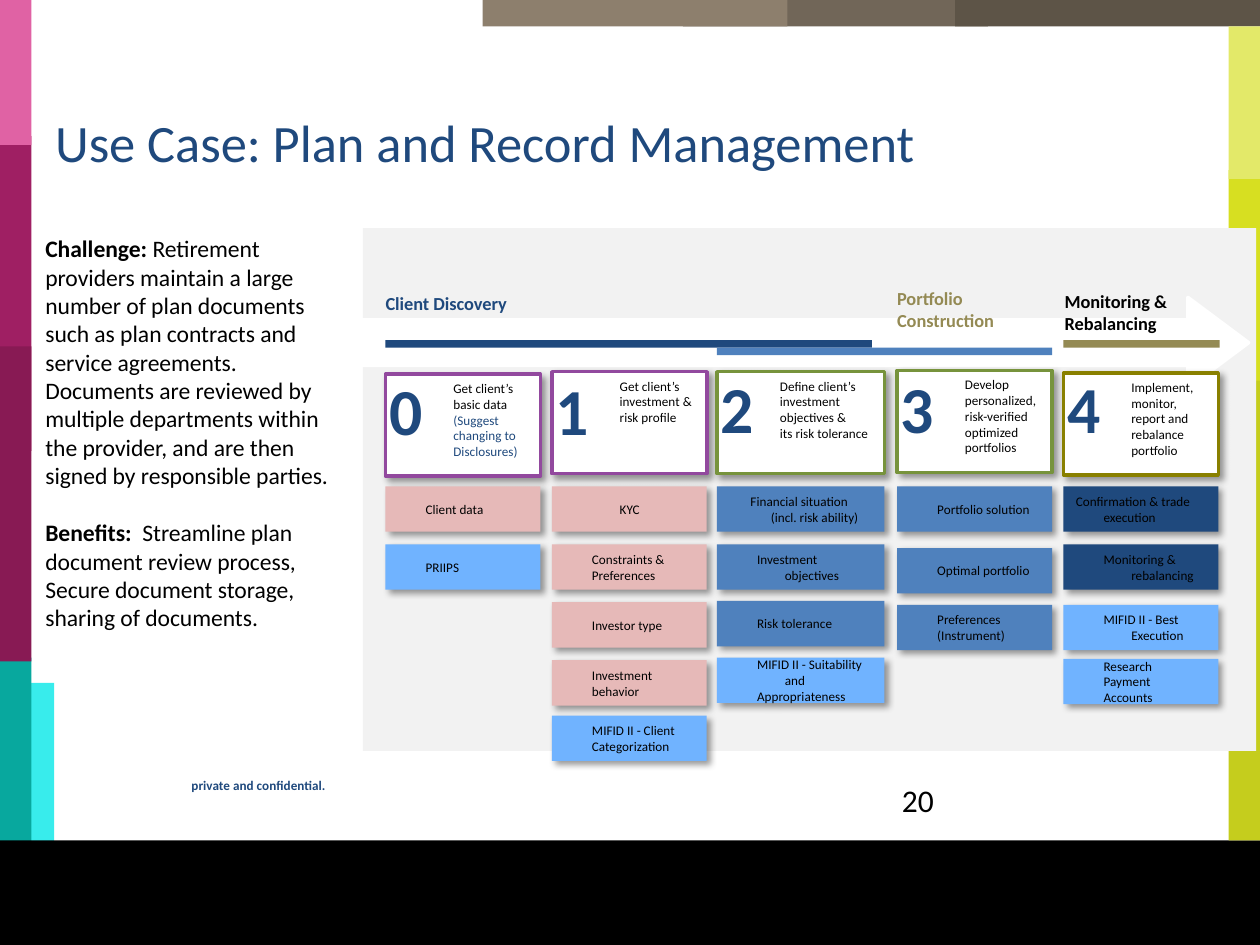
from dataclasses import dataclass
from lxml.etree import SubElement
from pptx import Presentation
from pptx.dml.color import RGBColor
from pptx.enum.shapes import MSO_SHAPE
from pptx.enum.text import MSO_ANCHOR, MSO_AUTO_SIZE, PP_ALIGN
from pptx.oxml.ns import qn
from pptx.util import Inches, Pt


@dataclass(frozen=True)
class Theme:
    font: str = "Calibri"
    black: str = "000000"
    white: str = "FFFFFF"
    panel: str = "F2F2F2"
    navy: str = "1F497D"
    blue: str = "4F81BD"
    sky: str = "70B3FF"
    rose: str = "E6B9B8"
    tan: str = "948A54"
    purple: str = "92499E"
    green: str = "77933C"
    olive: str = "898000"
    small: float = 7.5
    label: float = 10.5
    body: float = 13.5
    page: float = 18
    title: float = 30
    digit: float = 37.5


PAD = (0.1, 0.05, 0.1, 0.05)
NONE = (0, 0, 0, 0)


class Deck:
    def __init__(self, theme, slide):
        self.theme = theme
        self.slide = slide

    def style(self, para, size, color, bold=None):
        font = para.font
        font.name, font.size, font.bold = self.theme.font, Pt(size), bold
        font.color.rgb = RGBColor.from_string(color)

    def frame(self, shape, pad=PAD, anchor=MSO_ANCHOR.TOP, wrap=True):
        frame = shape.text_frame
        frame.auto_size = MSO_AUTO_SIZE.NONE
        frame.word_wrap, frame.vertical_anchor = wrap, anchor
        (frame.margin_left, frame.margin_top,
         frame.margin_right, frame.margin_bottom) = map(Inches, pad)
        return frame

    def fill_text(self, frame, text, size, color, bold=None, indent=(0, 0),
                  align=PP_ALIGN.LEFT):
        frame.text = text
        for para in frame.paragraphs:
            para.alignment = align
            props = para._p.get_or_add_pPr()
            props.set("marL", str(Inches(indent[0])))
            props.set("indent", str(Inches(indent[1])))
            self.style(para, size, color, bold)

    def place(self, shape, box):
        shape.left, shape.top, shape.width, shape.height = map(Inches, box)

    def title(self, text, box):
        shape = self.slide.shapes.title
        self.place(shape, box)
        frame = self.frame(shape, (0.1, 0.16, 0.1, 0.05))
        self.fill_text(frame, text, self.theme.title, self.theme.navy,
                       align=PP_ALIGN.CENTER)

    def body(self, items, box):
        shape = self.slide.placeholders[1]
        self.place(shape, box)
        frame = self.frame(shape)
        for i, (head, text) in enumerate(items):
            para = frame.paragraphs[0] if i == 0 else frame.add_paragraph()
            para.space_before = Pt(16.5 if i else 0)
            props = para._p.get_or_add_pPr()
            props.set("marL", "0")
            props.set("indent", "0")
            SubElement(props, qn("a:buNone"))
            self.style(para, self.theme.body, self.theme.black)
            lead = para.add_run()
            lead.text, lead.font.bold = head, True
            para.add_run().text = text

    def shape(self, box, fill, line=None, kind=MSO_SHAPE.RECTANGLE):
        shape = self.slide.shapes.add_shape(kind, *map(Inches, box))
        shape.shadow.inherit = False
        shape.fill.solid()
        shape.fill.fore_color.rgb = RGBColor.from_string(fill)
        if line:
            shape.line.color.rgb = RGBColor.from_string(line)
            shape.line.width = Pt(2)
        else:
            shape.line.fill.background()
        return shape

    def shade(self, shape):
        effects = shape._element.spPr.find(qn("a:effectLst"))
        outer = SubElement(effects, qn("a:outerShdw"), blurRad=str(Pt(4)),
                           dist=str(Pt(3)), dir="2700000", algn="tl",
                           rotWithShape="0")
        color = SubElement(outer, qn("a:srgbClr"), val=self.theme.black)
        SubElement(color, qn("a:alpha"), val="40000")

    def text(self, text, box, size, color, bold=None, pad=PAD,
             anchor=MSO_ANCHOR.TOP):
        shape = self.slide.shapes.add_textbox(*map(Inches, box))
        self.fill_text(self.frame(shape, pad, anchor), text, size, color, bold)

    def step(self, digit, text, box, line, top, pad):
        shape = self.shape(box, self.theme.white, line)
        self.shade(shape)
        frame = self.frame(shape, pad)
        self.fill_text(frame, text, self.theme.small, self.theme.black,
                       indent=(0.44, 0))
        for para in frame.paragraphs[1:]:
            self.style(para, self.theme.small, self.theme.navy)
        self.text(digit, (box[0], top, 0.5, 0.86), self.theme.digit,
                  self.theme.navy, True, (0.03,) * 4)

    def card(self, text, box, fill, indent=(0.44, -0.22),
             align=PP_ALIGN.LEFT, pad=PAD):
        shape = self.shape(box, fill)
        self.shade(shape)
        self.fill_text(self.frame(shape, pad, MSO_ANCHOR.MIDDLE), text,
                       self.theme.small, self.theme.black, None, indent, align)

    def note(self, text, box):
        shape = self.shape(box, self.theme.white)
        frame = self.frame(shape, NONE, MSO_ANCHOR.MIDDLE, False)
        self.fill_text(frame, text, self.theme.small, self.theme.navy, True)


def main():
    t = Theme()
    show = Presentation()
    show.slide_width, show.slide_height = Inches(10), Inches(7.5)
    deck = Deck(t, show.slides.add_slide(show.slide_layouts[1]))

    for fill, *box in (
        ("38ECEC", 0.16, 5.42, 0.27, 2.06), ("08A89E", 0, 5.22, 0.25, 2.25),
        (t.black, 0, 6.67, 10, 0.83), ("9F1F63", 0, 1.08, 0.25, 2.5),
        ("E062A4", 0, -0.1, 0.25, 1.25), ("881A54", 0, 2.75, 0.25, 2.5),
        ("716658", 5.42, 0, 2.42, 0.21), ("8D7F6D", 3.83, 0, 2.42, 0.21),
        ("5D5447", 7.58, 0, 2.42, 0.21), ("D7DF21", 9.75, 1.35, 0.25, 2.5),
        ("E3E969", 9.75, 0.21, 0.25, 1.21), ("C5CD1D", 9.75, 3.02, 0.25, 3.65),
        (t.panel, 2.88, 1.81, 7.09, 4.15),
    ):
        deck.shape(box, fill)

    deck.title("Use Case: Plan and Record Management", (-0.65, 0.71, 9, 1.25))
    deck.body((
        ("Challenge: ", "Retirement providers maintain a large number of plan "
         "documents such as plan contracts and service agreements. Documents "
         "are reviewed by multiple departments within the provider, and are "
         "then signed by responsible parties."),
        ("Benefits:  ", "Streamline plan document review process, Secure "
         "document storage, sharing of documents."),
    ), (0.26, 1.81, 2.61, 3.51))
    deck.text("20", (7.06, 6.15, 2.25, 0.3), t.page, t.black)

    arrow = deck.shape((2.8, 2.36, 7.11, 0.72), t.white, t.white,
                       MSO_SHAPE.RIGHT_ARROW)
    arrow.adjustments[0], arrow.adjustments[1] = 0.5, 0.67

    low, high = MSO_ANCHOR.BOTTOM, MSO_ANCHOR.TOP
    for text, color, anchor, *box in (
        ("Client Discovery", t.navy, low, 3.06, 2.27, 2.42, 0.22),
        ("Portfolio Construction", t.tan, low, 7.12, 2.41, 1.23, 0.22),
        ("Monitoring & Rebalancing", t.black, high, 8.45, 2.3, 1.24, 0.33),
    ):
        deck.text(text, box, t.label, color, True, NONE, anchor)
    for fill, left, top, width in ((t.navy, 3.06, 2.7, 3.86),
                                   (t.blue, 5.69, 2.76, 2.66),
                                   (t.tan, 8.44, 2.7, 1.24)):
        deck.shape((left, top, width, 0.06), fill)

    tight = {"indent": (0.22, -0.22), "pad": (0.1, 0.05, 0, 0.05)}
    mid = {"indent": (0.22, -0.22), "align": PP_ALIGN.CENTER}
    stages = (
        (3.06, 1.23, 2.97, 2.91, t.purple, PAD,
         "Get client’s basic data\n(Suggest changing to Disclosures)",
         ((3.86, t.rose, "Client data", {}), (4.32, t.sky, "PRIIPS", {}))),
        (4.38, 1.23, 2.95, 2.91, t.purple, PAD,
         "Get client’s investment & risk profile",
         ((3.86, t.rose, "KYC", {"indent": (0.44, 0)}),
          (4.32, t.rose, "Constraints & Preferences", {"indent": (0.22, 0)}),
          (4.78, t.rose, "Investor type", {}),
          (5.24, t.rose, "Investment\nbehavior", {}),
          (5.68, t.sky, "MIFID II - Client\nCategorization", {}))),
        (5.69, 1.33, 2.95, 2.89, t.green, (0.06, 0.05, 0.1, 0.05),
         "Define client’s investment objectives & \vits risk tolerance",
         ((3.86, t.blue, "Financial situation \v(incl. risk ability)", mid),
          (4.32, t.blue, "Investment objectives", {}),
          (4.77, t.blue, "Risk tolerance", {}),
          (5.22, t.sky, "MIFID II - Suitability and\nAppropriateness", {}))),
        (7.12, 1.23, 2.94, 2.89, t.green, PAD,
         "Develop personalized, risk-verified optimized portfolios",
         ((3.86, t.blue, "Portfolio solution", {}),
          (4.35, t.blue, "Optimal portfolio", {}),
          (4.8, t.blue, "Preferences\n(Instrument)", {}))),
        (8.44, 1.23, 2.96, 2.89, t.olive, PAD,
         "Implement, monitor, report and rebalance portfolio",
         ((3.86, t.navy, "Confirmation & trade execution", tight),
          (4.32, t.navy, "Monitoring & rebalancing", {}),
          (4.8, t.sky, "MIFID II - Best Execution", {}),
          (5.23, t.sky, "Research\nPayment\nAccounts", {}))),
    )
    for i, (left, width, top, mark, line, pad, text, cards) in enumerate(stages):
        deck.step(str(i), text, (left, top, width, 0.81), line, mark, pad)
        for down, fill, words, look in cards:
            deck.card(words, (left, down, width, 0.36), fill, **look)

    deck.note("private and confidential.", (1.52, 6.17, 1.07, 0.13))
    show.save("out.pptx")


if __name__ == "__main__":
    main()
